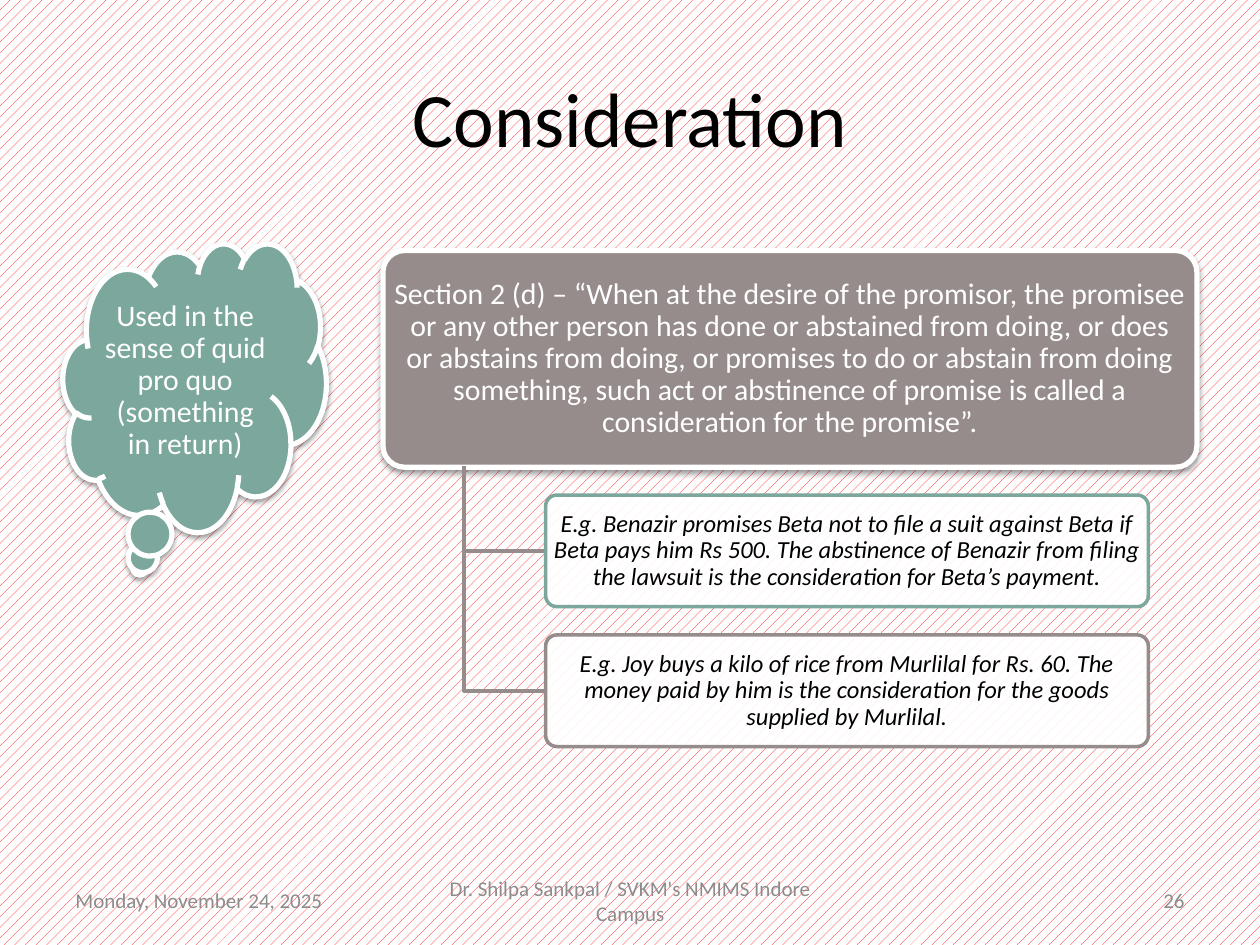
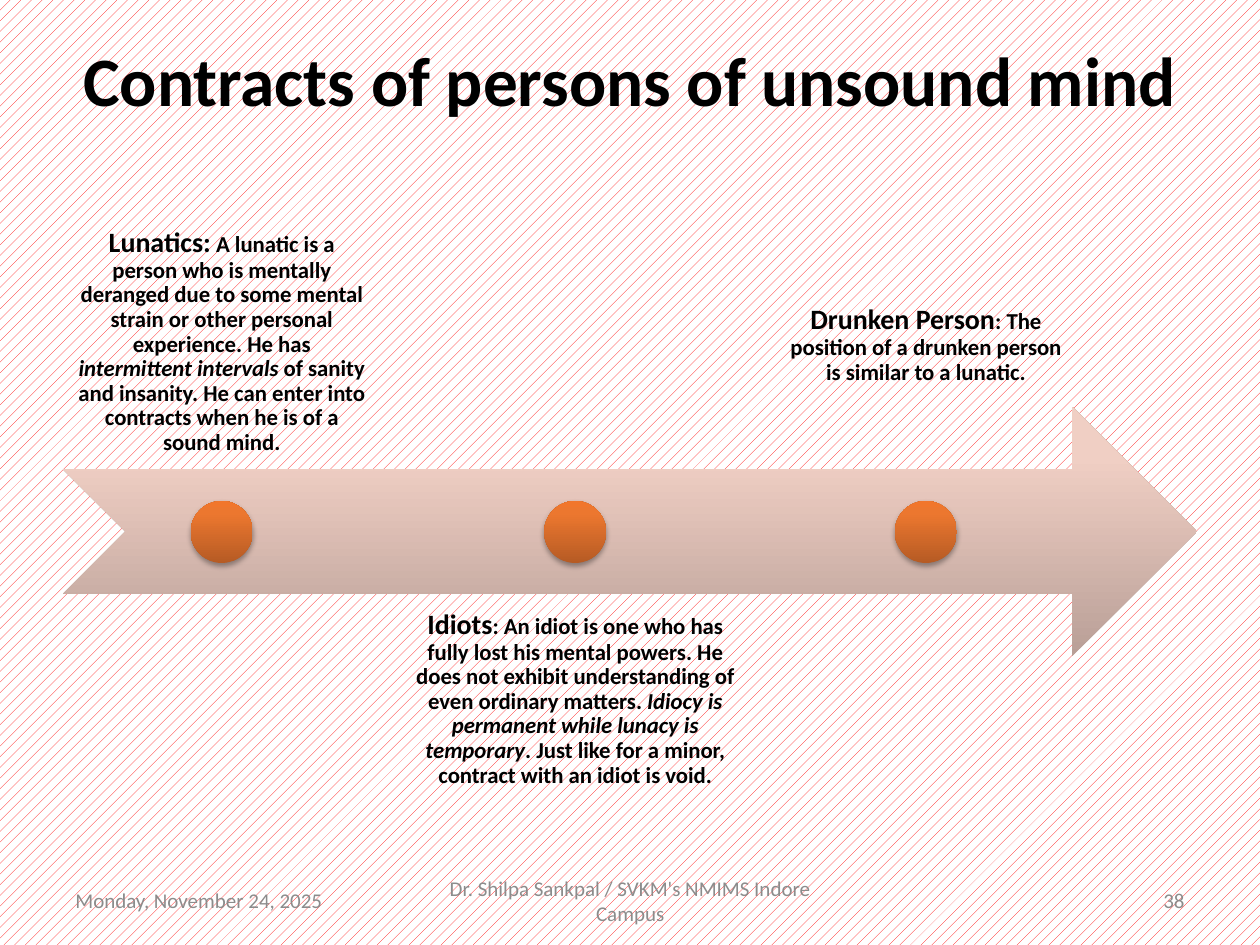
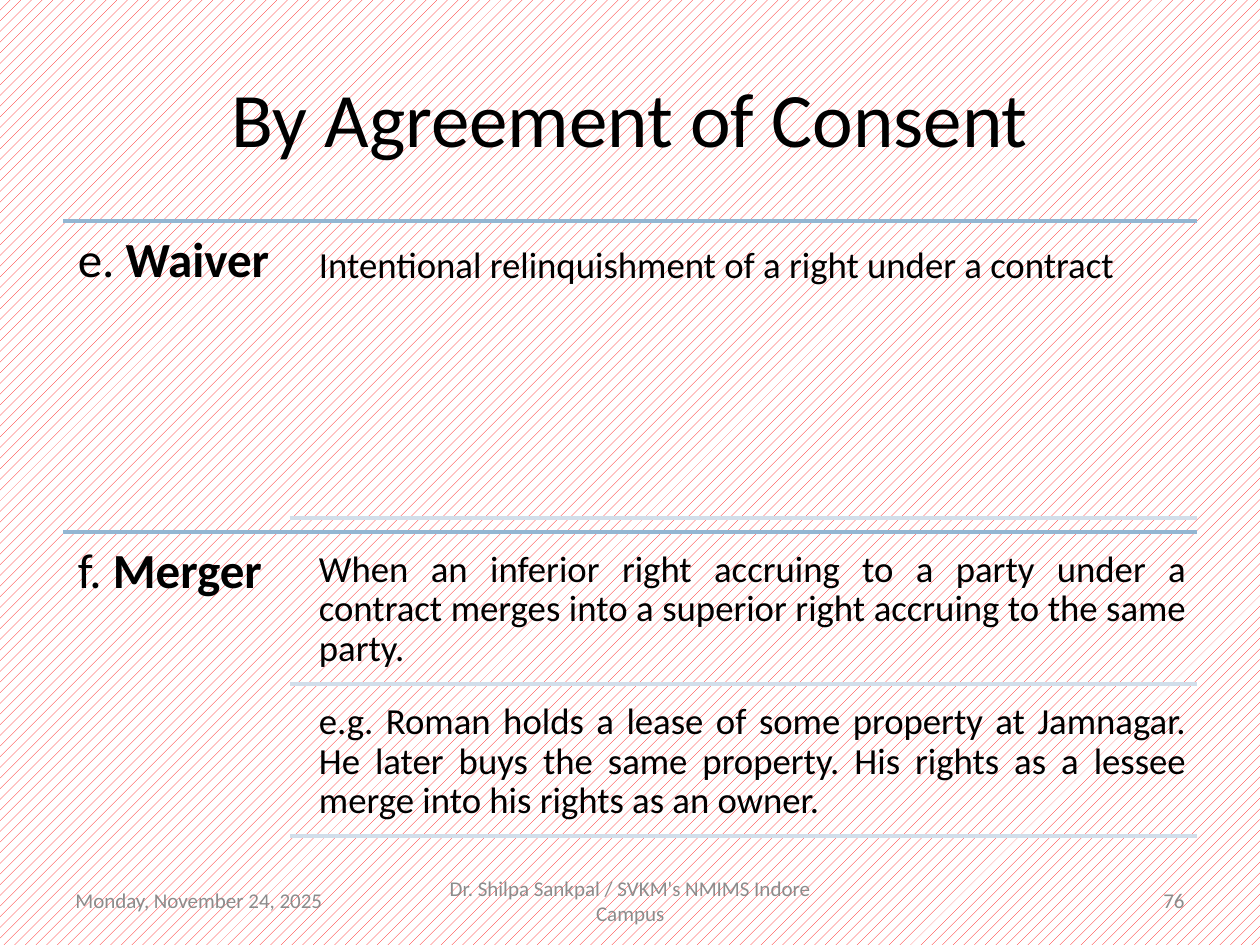
"""Three contract-law slides: consideration, unsound mind, agreement of consent."""
from copy import deepcopy
from dataclasses import dataclass

from pptx import Presentation, util as u
from pptx.dml.color import RGBColor
from pptx.enum import dml, shapes, text
from pptx.oxml import parse_xml
from pptx.oxml.ns import nsdecls, qn

Cm, Pt = u.Cm, u.Pt
SHAPE, ALIGN, ANCHOR = shapes.MSO_SHAPE, text.PP_ALIGN, text.MSO_ANCHOR


@dataclass(frozen=True)
class Theme:
    """Colours, type sizes and page measures (cm) shared by the slides."""
    font: str = "Calibri"
    black: str = "000000"
    white: str = "FFFFFF"
    pattern: str = "FF0000"
    muted: str = "8C8C8C"
    green: str = "7BA79D"
    taupe: str = "968C8C"
    rule: str = "94B6D2"
    rule_light: str = "D2DEEA"
    arrow: tuple = ("B99F97", "F0CFC4", "F2CFC4")
    dot: tuple = ("B65B24", "EC772F", "F1762C")
    title_size: float = 44
    title_small: float = 39.6
    term_size: float = 28
    detail_size: float = 21
    statement_size: float = 17
    label_size: float = 16
    example_size: float = 14
    note_size: float = 13
    footer_size: float = 12
    left: float = 1.27
    width: float = 22.86


T = Theme()


def rgb(value):
    """Return the colour for a hex value."""
    return RGBColor.from_string(value)


def write(tf, runs, size, color=T.black, align=ALIGN.CENTER, anchor=ANCHOR.MIDDLE,
          inset=(0.25, 0.13), spacing=0.9):
    """Fill a text frame from (text, changes) runs."""
    tf.word_wrap = True
    tf.vertical_anchor = anchor
    tf.margin_left = tf.margin_right = Cm(inset[0])
    tf.margin_top = tf.margin_bottom = Cm(inset[1])
    p = tf.paragraphs[0]
    p.alignment = align
    p.line_spacing = spacing
    for words, changes in runs:
        r = p.add_run()
        r.text = words
        r.font.name = T.font
        r.font.size = Pt(changes.get("size", size))
        r.font.bold = changes.get("bold", False)
        r.font.italic = changes.get("italic", False)
        r.font.color.rgb = rgb(color)


def add_text(s, box, runs, size, **style):
    """Add a text box at box (left, top, width, height)."""
    tb = s.shapes.add_textbox(*map(Cm, box))
    write(tb.text_frame, runs, size, **style)


def add_shape(s, kind, box, fill=None, line=None, width=2):
    """Add a preset shape without the default shadow."""
    sp = s.shapes.add_shape(kind, *map(Cm, box))
    sp.shadow.inherit = False
    if fill:
        sp.fill.solid()
        sp.fill.fore_color.rgb = rgb(fill)
    if line:
        sp.line.color.rgb = rgb(line)
        sp.line.width = Pt(width)
    else:
        sp.line.fill.background()
    return sp


def add_shadow(sp, alpha, distance):
    """Give a shape a soft shadow below."""
    effects = sp._element.spPr.find(qn("a:effectLst"))
    effects.append(parse_xml(
        f'<a:outerShdw {nsdecls("a")} blurRad="{Pt(3.1)}" dist="{Pt(distance)}" '
        f'dir="5400000" rotWithShape="0"><a:srgbClr val="{T.black}">'
        f'<a:alpha val="{alpha * 1000}"/></a:srgbClr></a:outerShdw>'))


def shade(sp, colors):
    """Fill a shape with a three-colour gradient rising from its foot."""
    sp.fill.gradient()
    sp.fill.gradient_angle = 90
    stops = sp._element.spPr.find(".//" + qn("a:gsLst"))
    stops.insert(1, deepcopy(stops[0]))
    for stop, color, position in zip(sp.fill.gradient_stops, colors, (0, 0.8, 1)):
        stop.color.rgb = rgb(color)
        stop.position = position


def add_rule(s, left, top, color):
    """Draw a horizontal rule from left to the right margin."""
    line = s.shapes.add_connector(shapes.MSO_CONNECTOR.STRAIGHT, Cm(left), Cm(top),
                                  Cm(T.left + T.width), Cm(top))
    line.line.color.rgb = rgb(color)
    line.line.width = Pt(2)
    line._element.spPr.append(parse_xml(f'<a:effectLst {nsdecls("a")}/>'))


def add_slide(prs, title, number, size=T.title_size, bold=False, height=3.18):
    """Add a slide with patterned background, title and footer."""
    s = prs.slides.add_slide(prs.slide_layouts[6])
    fill = s.background.fill
    fill.patterned()
    fill.pattern = dml.MSO_PATTERN.PERCENT_20
    fill.fore_color.rgb = rgb(T.pattern)
    fill.back_color.rgb = rgb(T.white)
    add_text(s, (T.left, 0.76, T.width, height), [(title, {"bold": bold})], size, spacing=1)
    footer = (
        (T.left, 5.93, "Monday, November 24, 2025", ALIGN.LEFT),
        (8.68, 8.05, "Dr. Shilpa Sankpal / SVKM's NMIMS Indore Campus", ALIGN.CENTER),
        (18.2, 5.93, str(number), ALIGN.RIGHT))
    for left, width, words, align in footer:
        add_text(s, (left, 17.65, width, 1.01), [(words, {})], T.footer_size,
                 color=T.muted, align=align, spacing=1)
    return s


def add_statement(s, kind, box, fill, words):
    """Add a filled, white-edged shape holding a statement."""
    sp = add_shape(s, kind, box, fill, T.white, 3)
    add_shadow(sp, 38, 1.6)
    write(sp.text_frame, [(words, {})], T.statement_size, color=T.white, inset=(0.1, 0.05))
    return sp


def add_example(s, top, color, words):
    """Add an example box hung by an elbow from the definition above."""
    trunk, start, left, height = 9.35, 9.4, 11, 2.25
    middle = Cm(top + height / 2)
    path = s.shapes.build_freeform(Cm(trunk), Cm(start))
    path.add_line_segments([(Cm(trunk), middle), (Cm(left), middle)], close=False)
    elbow = path.convert_to_shape()
    elbow.shadow.inherit = False
    elbow.fill.background()
    elbow.line.color.rgb = rgb(T.taupe)
    elbow.line.width = Pt(2)
    sp = add_shape(s, SHAPE.ROUNDED_RECTANGLE, (left, top, 12.15, height), T.white, color)
    sp.adjustments[0] = 0.1
    tint = sp._element.spPr.find(qn("a:solidFill"))[0]
    tint.append(parse_xml(f'<a:alpha {nsdecls("a")} val="90000"/>'))
    write(sp.text_frame, [(words, {"italic": True})], T.example_size, inset=(0.08, 0.05))


def add_milestone(s, left, top, width, anchor, runs):
    """Add a label and the dot centred on it on the arrow."""
    bold_runs = [(words, {"bold": True, **changes}) for words, changes in runs]
    add_text(s, (left, top, width, 5.03), bold_runs, T.note_size, anchor=anchor,
             inset=(0.3, 0.3))
    size = 1.25
    dot = add_shape(s, SHAPE.OVAL, (left + (width - size) / 2, 10.1, size, size))
    shade(dot, T.dot)
    add_shadow(dot, 35, 1.8)


def add_section(s, top, letter, term, details, align):
    """Add a lettered term with its details, each underlined."""
    height, column = 6.28, 5.84
    add_rule(s, T.left, top, T.rule)
    add_text(s, (T.left, top, 4.57, height), [(letter + " ", {}), (term, {"bold": True})],
             T.term_size, align=ALIGN.LEFT, anchor=ANCHOR.TOP, inset=(0.3, 0.3))
    item = height / (len(details) + 0.05 * (len(details) + 1))
    gap = 0.05 * item
    for i, words in enumerate(details):
        y = top + gap + i * (item + gap)
        add_text(s, (6.2, y, 17.95, item), [(words, {})], T.detail_size, align=align,
                 anchor=ANCHOR.TOP, inset=(0.23, 0.23))
        add_rule(s, column, y + item, T.rule_light)


def consideration(prs):
    """Build the slide defining consideration."""
    s = add_slide(prs, "Consideration", 26)
    add_statement(s, SHAPE.CLOUD_CALLOUT, (T.left, 4.9, 5.31, 5.82), T.green,
                  "Used in the sense of quid pro quo (something in return)")
    definition = add_statement(
        s, SHAPE.ROUNDED_RECTANGLE, (7.72, 5.05, 16.41, 4.37), T.taupe,
        "Section 2 (d) – “When at the desire of the promisor, the promisee or any other "
        "person has done or abstained from doing, or does or abstains from doing, or "
        "promises to do or abstain from doing something, such act or abstinence of "
        "promise is called a consideration for the promise”.")
    definition.adjustments[0] = 0.1
    examples = (
        (T.green, "E.g. Benazir promises Beta not to file a suit against Beta if Beta pays "
                  "him Rs 500. The abstinence of Benazir from filing the lawsuit is the "
                  "consideration for Beta’s payment."),
        (T.taupe, "E.g. Joy buys a kilo of rice from Murlilal for Rs. 60. The money paid by "
                  "him is the consideration for the goods supplied by Murlilal."))
    for i, (color, words) in enumerate(examples):
        add_example(s, 9.98 + i * 2.82, color, words)


def unsound_mind(prs):
    """Build the slide on contracts of persons of unsound mind."""
    s = add_slide(prs, "Contracts of persons of unsound mind", 38,
                  T.title_small, bold=True, height=1.65)
    shade(add_shape(s, SHAPE.NOTCHED_RIGHT_ARROW, (T.left, 8.2, T.width, 5.03)), T.arrow)
    label, stress = {"size": T.label_size}, {"italic": True}
    add_milestone(s, T.left, 4.45, 6.4, ANCHOR.BOTTOM, [
        ("Lunatics:", label),
        (" A lunatic is a person who is mentally deranged due to some mental strain or "
         "other personal experience. He has ", {}),
        ("intermittent intervals ", stress),
        ("of sanity and insanity. He can enter into contracts when he is of a sound mind.",
         {})])
    add_milestone(s, 7.9, 12, 7.39, ANCHOR.TOP, [
        ("Idiots", label),
        (": An idiot is one who has fully lost his mental powers. He does not exhibit "
         "understanding of even ordinary matters. ", {}),
        ("Idiocy is permanent while lunacy is temporary", stress),
        (". Just like for a minor, contract with an idiot is void.", {})])
    add_milestone(s, 15.49, 4.45, 6.35, ANCHOR.MIDDLE, [
        ("Drunken Person", label),
        (": The position of a drunken person is similar to a lunatic.", {})])


def agreement(prs):
    """Build the slide on discharge by agreement of consent."""
    s = add_slide(prs, "By Agreement of Consent", 76)
    add_section(s, 4.45, "e.", "Waiver",
                ["Intentional relinquishment of a right under a contract"], ALIGN.LEFT)
    add_section(s, 10.72, "f.", "Merger", [
        "When an inferior right accruing to a party under a contract merges into a "
        "superior right accruing to the same party.",
        "e.g. Roman holds a lease of some property at Jamnagar. He later buys the same "
        "property. His rights as a lessee merge into his rights as an owner."],
        ALIGN.JUSTIFY)


def main():
    """Build and save the slides."""
    prs = Presentation()
    prs.slide_width, prs.slide_height = Cm(25.4), Cm(19.05)
    consideration(prs)
    unsound_mind(prs)
    agreement(prs)
    prs.save("out.pptx")


if __name__ == "__main__":
    main()
